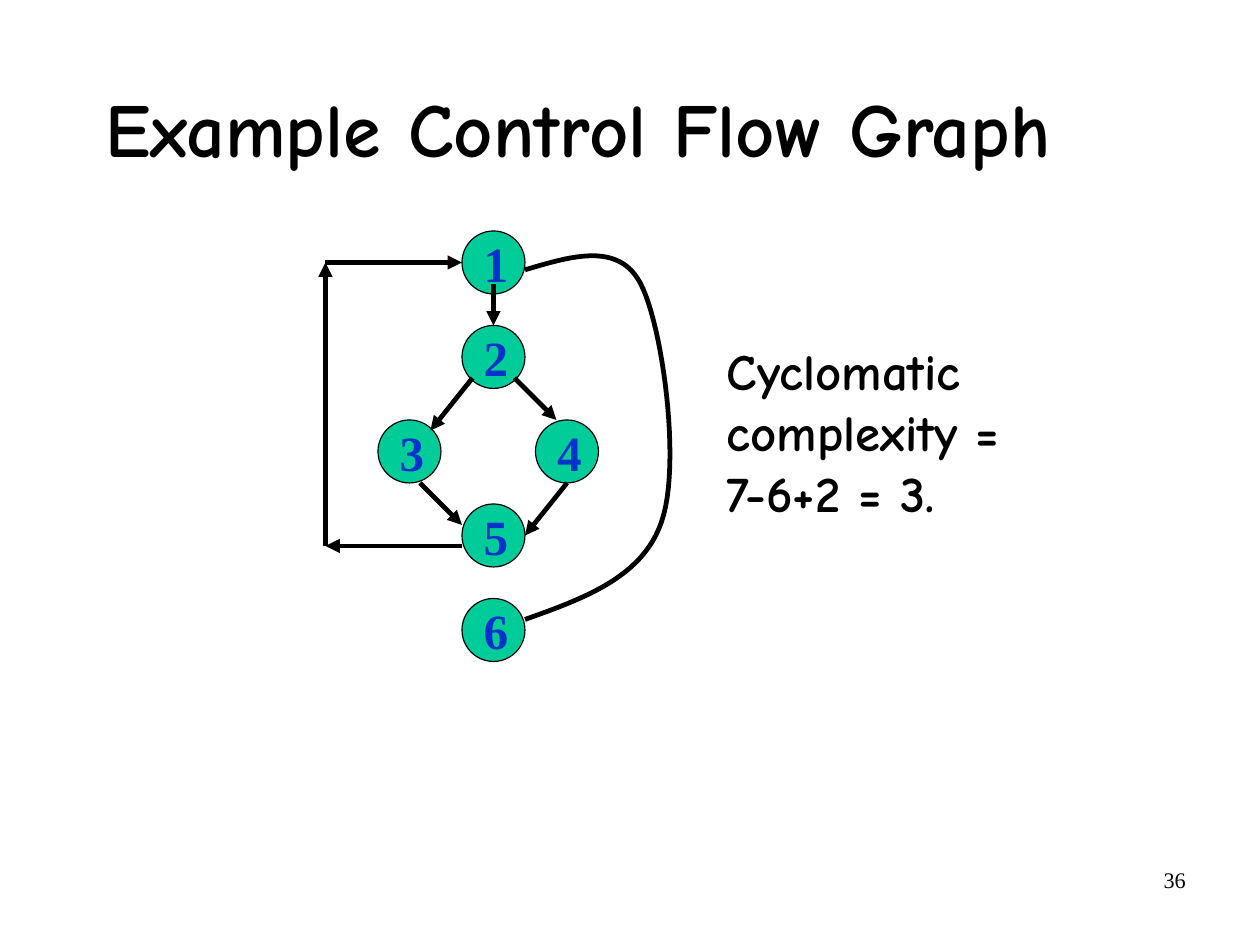
from pptx import Presentation
from pptx.dml.color import RGBColor
from pptx.enum.shapes import MSO_CONNECTOR, MSO_SHAPE
from pptx.enum.text import MSO_ANCHOR as ANCHOR, PP_ALIGN as ALIGN
from pptx.oxml.ns import qn
from pptx.util import Cm, Inches, Pt
from lxml.etree import SubElement

prs = Presentation()
prs.slide_width, prs.slide_height = Cm(28), Cm(21)
s = prs.slides.add_slide(prs.slide_layouts[6])
U = prs.slide_width / 120  # grid of 120 columns by 90 rows


def color(hex_code):
    return RGBColor.from_string(hex_code)


def write(sp, lines, size, font, hex_code, bold, align, anchor, inset):
    """Fill a shape with one paragraph; inset is (horizontal, vertical) in inches."""
    tf = sp.text_frame
    tf.word_wrap = True
    tf.vertical_anchor = anchor
    tf.margin_left = tf.margin_right = Inches(inset[0])
    tf.margin_top = tf.margin_bottom = Inches(inset[1])
    p = tf.paragraphs[0]
    p.alignment = align
    for i, line in enumerate(lines):
        if i:
            p.add_line_break()
        r = p.add_run()
        r.text = line
        r.font.size, r.font.name, r.font.bold = Pt(size), font, bold
        r.font.color.rgb = color(hex_code)
    return p


# Text: column, row, width, height, then its style
texts = [
    (86, 81.95, 28, 6.2, ["36"], 14, "Times New Roman", False, ALIGN.RIGHT, ANCHOR.TOP, (0.1, 0.05)),
    (5.35, 5, 102, 15, ["Example Control Flow Graph "], 48, "Comic Neue", True,
     ALIGN.CENTER, ANCHOR.MIDDLE, (0, 0)),
    (68.12, 31.8, 40.3, 18.5, ["Cyclomatic complexity = ", "7-6+2 = 3."], 32, "Comic Neue", True,
     ALIGN.LEFT, ANCHOR.TOP, (0.1, 0.05)),
]
for x, y, w, h, lines, size, font, bold, align, anchor, inset in texts:
    box = s.shapes.add_textbox(*(round(v * U) for v in (x, y, w, h)))
    p = write(box, lines, size, font, "000000", bold, align, anchor, inset)
    if size == 48:
        p.line_spacing = 0.94

# Nodes of the graph, numbered from 1
nodes = [(44, 22), (44, 31), (36, 40), (51, 40), (44, 48), (44, 57)]
for number, (x, y) in enumerate(nodes, 1):
    node = s.shapes.add_shape(MSO_SHAPE.OVAL, *(round(v * U) for v in (x, y, 6, 6)))
    node.shadow.inherit = False
    node.fill.solid()
    node.fill.fore_color.rgb = color("00CC99")
    node.line.color.rgb = color("000000")
    node.line.width = Pt(0.75)
    write(node, [str(number)], 31, "Times New Roman", "0033CC", True,
          ALIGN.CENTER, ANCHOR.MIDDLE, (0.11, 0.06))

# Arrows: from column, row to column, row
edges = [
    (47, 27, 47, 31), (45, 36, 41, 41), (49, 36, 53, 40),
    (40, 46, 44, 50), (54, 46, 50, 51),
    (44, 52, 31, 52), (31, 52, 31, 25), (31, 25, 44, 25),
]
for edge in edges:
    arrow = s.shapes.add_connector(MSO_CONNECTOR.STRAIGHT, *(round(v * U) for v in edge))
    arrow.line.color.rgb = color("000000")
    arrow.line.width = Pt(3)
    props = arrow._element.spPr
    SubElement(props.find(qn("a:ln")), qn("a:tailEnd"), type="triangle")
    SubElement(props, qn("a:effectLst"))

# Exit curve from node 1 to node 6: cubic Bezier pieces sharing their end points
controls = [
    (50, 25.7), (54.4, 24.4), (58.9, 23), (61, 27), (63.1, 31),
    (64.9, 44.3), (63, 49.7), (61.2, 55), (55.6, 57), (50, 59),
]
STEPS = 24
points = []
for k in range(0, len(controls) - 1, 3):
    for i in range(1, STEPS + 1):
        t = i / STEPS
        weights = ((1 - t) ** 3, 3 * t * (1 - t) ** 2, 3 * t * t * (1 - t), t ** 3)
        points.append([sum(w * c[axis] * U for w, c in zip(weights, controls[k:k + 4]))
                       for axis in (0, 1)])
builder = s.shapes.build_freeform(*(round(v * U) for v in controls[0]))
builder.add_line_segments(points, close=False)
curve = builder.convert_to_shape()
curve.shadow.inherit = False
curve.fill.background()
curve.line.color.rgb = color("000000")
curve.line.width = Pt(3)

prs.save("out.pptx")
